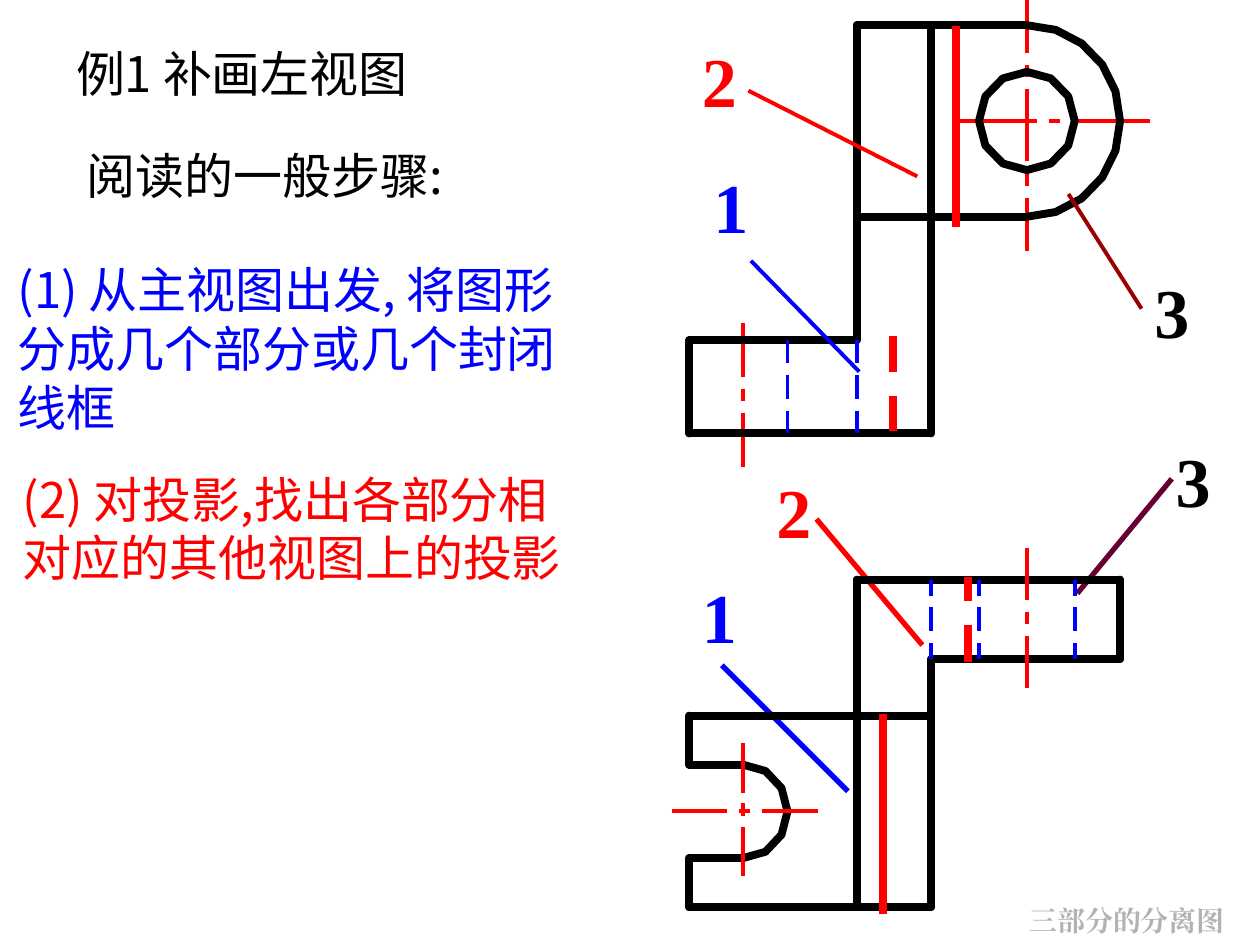
from math import cos, radians, sin

from lxml import etree
from pptx import Presentation
from pptx.dml.color import RGBColor
from pptx.enum.text import MSO_ANCHOR, MSO_AUTO_SIZE, PP_ALIGN
from pptx.enum.shapes import MSO_CONNECTOR
from pptx.oxml.ns import qn
from pptx.util import Inches, Pt

STRAIGHT = MSO_CONNECTOR.STRAIGHT
MIDDLE, TOP = MSO_ANCHOR.MIDDLE, MSO_ANCHOR.TOP
LEFT, CENTER = PP_ALIGN.LEFT, PP_ALIGN.CENTER
NO_AUTOFIT = MSO_AUTO_SIZE.NONE

BLACK, BLUE, RED = "000000", "0000FF", "FF0000"
CJK, ROMAN = "Noto Sans CJK SC", "Times New Roman"

OUTLINE = (BLACK, 4.5, "rnd")
HIDDEN = (BLUE, 2.25, "flat")
AXIS = (RED, 2.25, "flat")
DIVIDER = (RED, 4.5, "flat")

BASE_LEFT, SLOT_X, SLOT_END = 0.14, 0.57, 0.92
WALL_LEFT, WALL_RIGHT = 1.47, 2.06
HOLE_LEFT, HOLE_X, HOLE_RIGHT, LUG_RIGHT = 2.44, 2.82, 3.2, 3.56


def color(value):
    return RGBColor.from_string(value)


def apply_format(target, values):
    for name, value in values.items():
        setattr(target, name, value)


def style_line(shape, style):
    line_color, width, cap = style
    shape.line.color.rgb = color(line_color)
    shape.line.width = Pt(width)
    shape.line._get_or_add_ln().set("cap", cap)


def add_line(slide, box, start, end, style):
    left, top = box
    line = slide.shapes.add_connector(
        STRAIGHT, Inches(left + start[0]), Inches(top + start[1]),
        Inches(left + end[0]), Inches(top + end[1]))
    style_line(line, style)
    etree.SubElement(line._element.spPr, qn("a:effectLst"))


def add_dashes(slide, box, start, end, lengths, style):
    vertical = start[0] == end[0]
    position, finish = (start[1], end[1]) if vertical else (start[0], end[0])
    gap = (finish - position - sum(lengths)) / (len(lengths) - 1)
    for length in lengths:
        stop = position + length
        if vertical:
            add_line(slide, box, (start[0], position), (start[0], stop), style)
        else:
            add_line(slide, box, (position, start[1]), (stop, start[1]), style)
        position = stop + gap


def add_arc(slide, box, center, radii, first, last, step):
    points = [(Inches(box[0] + center[0] + radii[0] * cos(radians(angle))),
               Inches(box[1] + center[1] + radii[1] * sin(radians(angle))))
              for angle in range(first, last + 1, step)]
    builder = slide.shapes.build_freeform(*points[0], scale=1)
    builder.add_line_segments(points[1:], close=last - first == 360)
    arc = builder.convert_to_shape()
    arc.fill.background()
    arc.shadow.inherit = False
    style_line(arc, OUTLINE)


def write_text(shape, box, text, size, text_color, font=CJK, bold=False,
               align=LEFT, anchor=MIDDLE, wrap=True):
    left, top, width, height = box
    apply_format(shape, {"left": Inches(left), "top": Inches(top),
                         "width": Inches(width), "height": Inches(height)})
    frame = shape.text_frame
    frame.text = text
    apply_format(frame, {"word_wrap": wrap, "vertical_anchor": anchor,
                         "auto_size": NO_AUTOFIT})
    paragraph = frame.paragraphs[0]
    apply_format(paragraph, {"alignment": align, "space_before": Pt(0)})
    properties = paragraph._p.get_or_add_pPr()
    apply_format(paragraph.runs[0].font,
                 {"name": font, "size": Pt(size), "bold": bold})
    paragraph.runs[0].font.color.rgb = color(text_color)
    east_asian = etree.SubElement(
        paragraph.runs[0]._r.get_or_add_rPr(), qn("a:ea"))
    east_asian.set("typeface", font)
    return properties


def add_text(slide, box, text, size, text_color, **options):
    write_text(slide.shapes.add_textbox(0, 0, 0, 0), box, text, size,
               text_color, **options)


def add_callout(slide, box, number, place, number_color, start, end, leader):
    add_line(slide, box, start, end, leader)
    add_text(slide, (box[0] + place[0], box[1] + place[1], 0.48, 0.77),
             number, 40, number_color, font=ROMAN, bold=True, align=CENTER,
             wrap=False)


def add_steps(slide, box):
    left, top = box
    title, *steps = slide.placeholders
    write_text(title, (left + 0.04, top, 3.68, 0.9), "例1 补画左视图", 28, BLACK,
               align=CENTER)
    add_text(slide, (left + 0.44, top + 0.97, 3.24, 0.57), "阅读的一般步骤:",
             28, BLACK, align=CENTER, wrap=False)
    contents = [
        (0, 1.88, 4.58, "(1) 从主视图出发, 将图形分成几个部分或几个封闭线框", BLUE),
        (0.04, 3.31, 4.75, "(2) 对投影,找出各部分相对应的其他视图上的投影", RED),
    ]
    for step, (x, y, width, text, text_color) in zip(steps, contents):
        properties = write_text(step, (left + x, top + y, width, 1.5), text,
                                28, text_color)
        apply = {"marL": "0", "indent": "0"}
        for name, value in apply.items():
            properties.set(name, value)
        etree.SubElement(properties, qn("a:buNone"))


def add_front_view(slide, box):
    lug_top, lug_middle, lug_bottom = 0.2, 0.96, 1.72
    base_top, base_bottom = 2.7, 3.44
    add_dashes(slide, box, (HOLE_X, 0), (HOLE_X, 1.99),
               (0.42, 0.1, 0.57, 0.1, 0.42), AXIS)
    add_dashes(slide, box, (2.28, lug_middle), (3.8, lug_middle),
               (0.62, 0.09, 0.62), AXIS)
    add_dashes(slide, box, (SLOT_X, 2.56), (SLOT_X, 3.71),
               (0.43, 0.1, 0.43), AXIS)
    add_arc(slide, box, (HOLE_X, lug_middle), (0.38, 0.39), 0, 360, 30)
    add_arc(slide, box, (HOLE_X, lug_middle), (0.74, 0.76), -90, 90, 18)
    for start, end in [
        ((HOLE_X, lug_top), (WALL_LEFT, lug_top)),
        ((WALL_LEFT, lug_top), (WALL_LEFT, base_top)),
        ((WALL_LEFT, base_top), (BASE_LEFT, base_top)),
        ((BASE_LEFT, base_top), (BASE_LEFT, base_bottom)),
        ((BASE_LEFT, base_bottom), (WALL_RIGHT, base_bottom)),
        ((WALL_RIGHT, base_bottom), (WALL_RIGHT, lug_top)),
        ((HOLE_X, lug_bottom), (WALL_LEFT, lug_bottom)),
    ]:
        add_line(slide, box, start, end, OUTLINE)
    for x in (SLOT_END, WALL_LEFT):
        add_dashes(slide, box, (x, base_top), (x, base_bottom),
                   (0.18, 0.19, 0.18), HIDDEN)
    add_callout(slide, box, "1", (0.23, 1.25), BLUE, (0.63, 2.07),
                (1.49, 2.95), (BLUE, 2.25, "flat"))
    add_callout(slide, box, "2", (0.14, 0.25), RED, (0.61, 0.72),
                (1.95, 1.4), (RED, 2.25, "flat"))
    add_callout(slide, box, "3", (3.73, 2.08), BLACK, (3.15, 1.54),
                (3.73, 2.45), ("990000", 2.25, "flat"))
    add_line(slide, box, (2.26, 0.21), (2.26, 1.8), DIVIDER)
    add_dashes(slide, box, (1.76, 2.67), (1.76, 3.42), (0.28, 0.28), DIVIDER)


def add_top_view(slide, box):
    lug_back, lug_front, base_back, base_front = 1.2, 1.83, 2.28, 3.8
    slot_back, slot_middle, slot_front = 2.67, 3.04, 3.41
    add_callout(slide, box, "1", (0.14, 1.1), BLUE, (1.4, 2.88),
                (0.4, 1.88), (BLUE, 3, "flat"))
    add_callout(slide, box, "2", (0.73, 0.27), RED, (1.99, 1.72),
                (1.15, 0.72), (RED, 3, "flat"))
    add_callout(slide, box, "3", (3.9, 0.02), BLACK, (3.22, 1.31),
                (3.97, 0.4), ("660033", 3, "flat"))
    for start, end in [
        ((WALL_LEFT, lug_back), (LUG_RIGHT, lug_back)),
        ((LUG_RIGHT, lug_back), (LUG_RIGHT, lug_front)),
        ((LUG_RIGHT, lug_front), (WALL_RIGHT, lug_front)),
        ((WALL_RIGHT, lug_front), (WALL_RIGHT, base_front)),
        ((WALL_RIGHT, base_front), (WALL_LEFT, base_front)),
        ((WALL_LEFT, base_front), (BASE_LEFT, base_front)),
        ((BASE_LEFT, base_front), (BASE_LEFT, slot_front)),
        ((BASE_LEFT, slot_front), (SLOT_X, slot_front)),
        ((SLOT_X, slot_back), (BASE_LEFT, slot_back)),
        ((BASE_LEFT, slot_back), (BASE_LEFT, base_back)),
        ((BASE_LEFT, base_back), (WALL_LEFT, base_back)),
        ((WALL_LEFT, base_back), (WALL_RIGHT, base_back)),
        ((WALL_LEFT, lug_back), (WALL_LEFT, base_front)),
    ]:
        add_line(slide, box, start, end, OUTLINE)
    add_arc(slide, box, (SLOT_X, slot_middle), (0.35, 0.37), -90, 90, 30)
    for x in (WALL_RIGHT, HOLE_LEFT, HOLE_RIGHT):
        add_dashes(slide, box, (x, lug_back), (x, lug_front),
                   (0.13, 0.19, 0.13), HIDDEN)
    add_dashes(slide, box, (HOLE_X, 0.95), (HOLE_X, 2.06),
               (0.41, 0.1, 0.41), AXIS)
    add_dashes(slide, box, (SLOT_X, 2.5), (SLOT_X, 3.55),
               (0.39, 0.1, 0.39), AXIS)
    add_dashes(slide, box, (0, slot_middle), (1.16, slot_middle),
               (0.44, 0.09, 0.44), AXIS)
    add_line(slide, box, (1.68, 2.27), (1.68, 3.85), DIVIDER)
    add_dashes(slide, box, (2.35, 1.18), (2.35, 1.85), (0.19, 0.29), DIVIDER)


def main():
    deck = Presentation()
    deck.slide_width, deck.slide_height = Inches(10), Inches(7.5)
    slide = deck.slides.add_slide(deck.slide_layouts.get_by_name("Two Content"))
    add_steps(slide, (0.04, 0.13))
    add_text(slide, (8, 7.12, 1.89, 0.37), "三部分的分离图", 16, "B2B2B2",
             font=ROMAN, bold=True, align=CENTER, anchor=TOP)
    add_top_view(slide, (5.33, 3.4))
    add_front_view(slide, (5.33, 0))
    deck.save("out.pptx")


if __name__ == "__main__":
    main()
